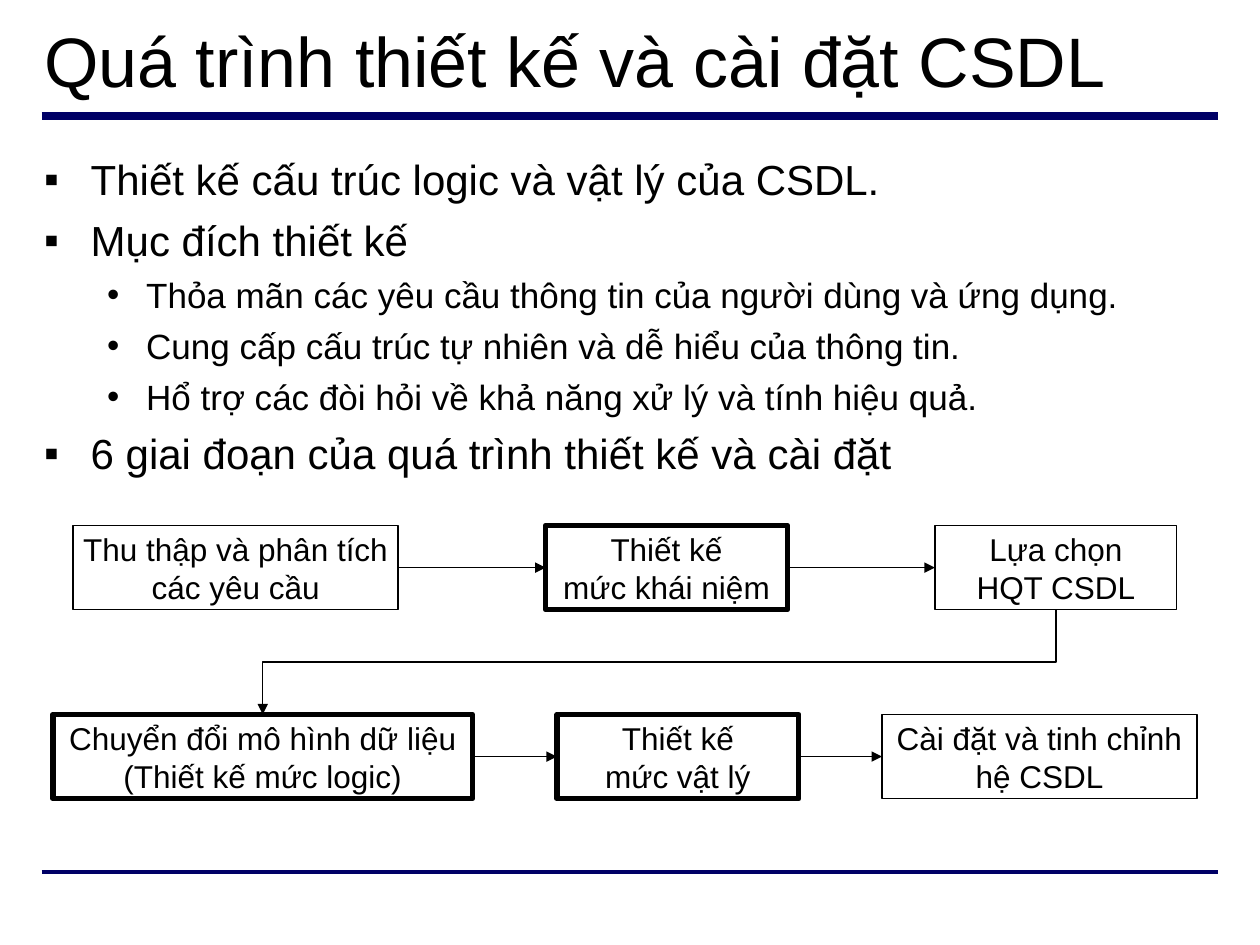
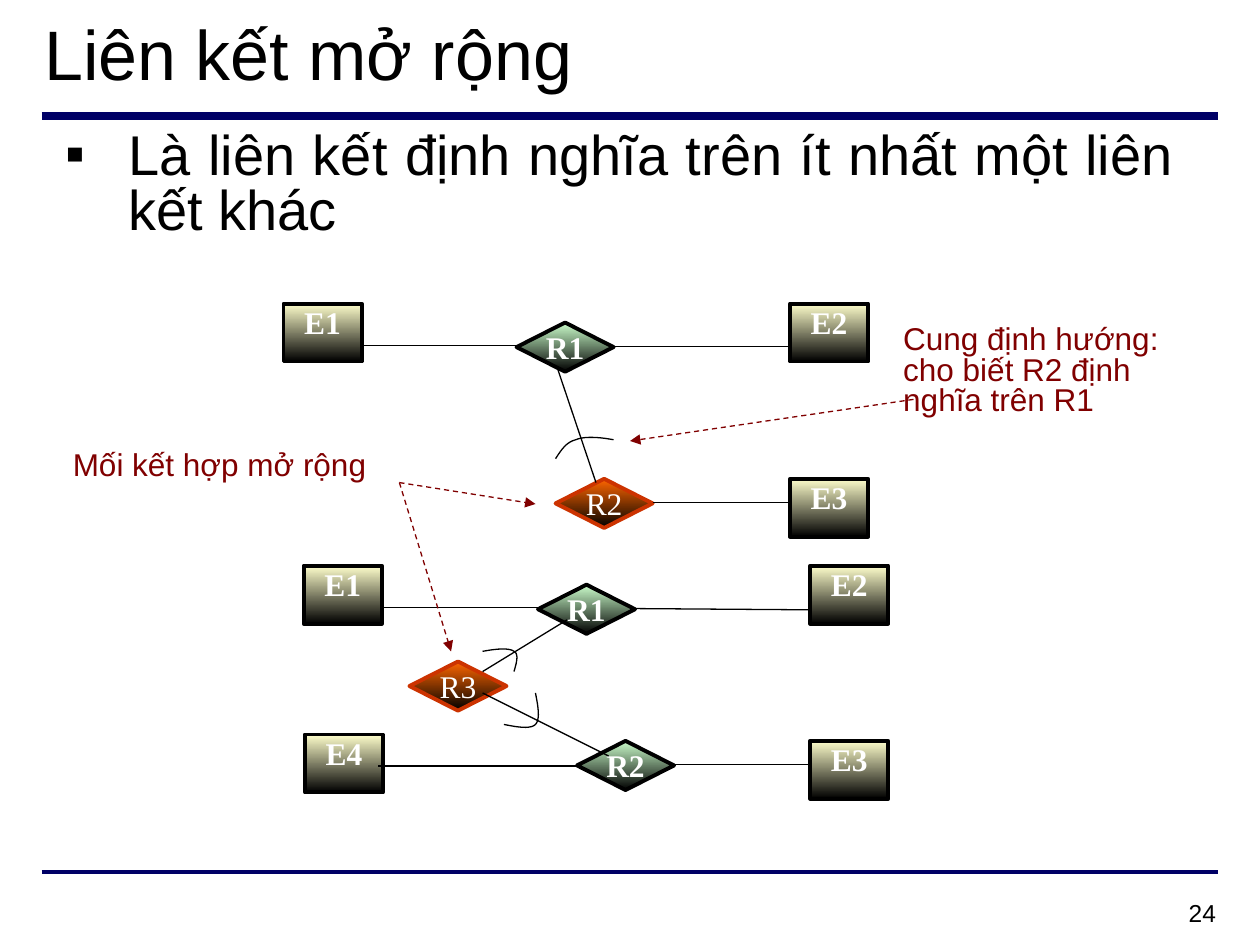
import dataclasses

import lxml.etree
import pptx
import pptx.dml.color
import pptx.enum.dml
import pptx.enum.shapes
import pptx.enum.text
import pptx.oxml.ns
import pptx.util

Inches = pptx.util.Inches
Pt = pptx.util.Pt
RGB = pptx.dml.color.RGBColor.from_string
Align = pptx.enum.text.PP_ALIGN
Anchor = pptx.enum.text.MSO_ANCHOR
Preset = pptx.enum.shapes.MSO_SHAPE
Connector = pptx.enum.shapes.MSO_CONNECTOR
qn = pptx.oxml.ns.qn


@dataclasses.dataclass(frozen=True)
class Theme:
    sans: str = "Arial"
    serif: str = "Times New Roman"
    ink: str = "000000"
    light: str = "FFFFFF"
    band: str = "000066"
    note: str = "800000"
    entity: str = "FFFFCC"
    relation: str = "CCFFCC"
    extended: str = "FF6600"
    extended_edge: str = "CC3300"
    title_size: int = 40
    lead_size: int = 32
    list_size: int = 24
    sublist_size: int = 20
    label_size: int = 18
    number_size: int = 14
    thin: float = 0.75
    medium: float = 2.25
    thick: float = 3
    tight: float = 0.81


@dataclasses.dataclass(frozen=True)
class Bullet:
    char: str
    margin: float
    hanging: float
    before: int
    size: int


THEME = Theme()
MAIN = Bullet("▪", 0.37, 0.37, 6, THEME.list_size)
SUB = Bullet("•", 0.81, 0.31, 5, THEME.sublist_size)
LEAD = Bullet("▪", 0.5, 0.5, 8, THEME.lead_size)


def lengths(*values):
    return [Inches(value) for value in values]


def curve_points(start, segments, steps=10):
    """Points along a chain of cubic curves, without the start point."""
    points = []
    for first, second, end in segments:
        for step in range(1, steps + 1):
            t = step / steps
            weights = ((1 - t) ** 3, 3 * t * (1 - t) ** 2, 3 * t * t * (1 - t), t ** 3)
            corners = (start, first, second, end)
            points.append(tuple(Inches(sum(w * c[axis] for w, c in zip(weights, corners)))
                                for axis in (0, 1)))
        start = end
    return points


class SlideBuilder:
    def __init__(self, deck, theme):
        self.deck = deck
        self.theme = theme
        self.page = None

    def start_page(self, title, spacing=1.0):
        """Add a slide with its bands and title."""
        self.page = self.deck.slides.add_slide(self.deck.slide_layouts[1])
        for y, width in ((0.92, 4.5), (6.92, self.theme.medium)):
            self.line((0.33, y), (9.67, y), self.theme.band, width)
        box = self.page.shapes.title
        self.place(box, (0.25, 0.09, 9.5, 0.77))
        self.set_text(box, title, self.theme.title_size, anchor=Anchor.MIDDLE, spacing=spacing)

    def place(self, box, at):
        box.left, box.top, box.width, box.height = lengths(*at)

    def set_text(self, box, text, size, color=None, font=None, bold=False,
                 align=Align.LEFT, anchor=Anchor.TOP, spacing=1.0, wrap=True,
                 inset=(0.1, 0.05)):
        frame = box.text_frame
        frame.text = text
        frame.auto_size = pptx.enum.text.MSO_AUTO_SIZE.NONE
        frame.word_wrap = wrap
        frame.vertical_anchor = anchor
        frame.margin_left = frame.margin_right = Inches(inset[0])
        frame.margin_top = frame.margin_bottom = Inches(inset[1])
        for para in frame.paragraphs:
            para.alignment = align
            para.line_spacing = spacing
            self.format_runs(para, size, color, font, bold)

    def format_runs(self, para, size, color=None, font=None, bold=False):
        for span in para.runs:
            span.font.size = Pt(size)
            span.font.name = font or self.theme.sans
            span.font.bold = bold
            span.font.color.rgb = RGB(color or self.theme.ink)

    def bullets(self, at, items, align=Align.LEFT, spacing=1.0):
        """Fill the body placeholder with (bullet style, text) items."""
        box = self.page.placeholders[1]
        self.place(box, at)
        self.set_text(box, "\n".join(text for _, text in items), self.theme.list_size,
                      align=align, spacing=spacing)
        for index, (para, (style, _)) in enumerate(zip(box.text_frame.paragraphs, items)):
            props = para._p.get_or_add_pPr()
            props.set("marL", str(Inches(style.margin)))
            props.set("indent", str(-Inches(style.hanging)))
            color = lxml.etree.SubElement(props, qn("a:buClr"))
            lxml.etree.SubElement(color, qn("a:srgbClr"), val=self.theme.ink)
            lxml.etree.SubElement(props, qn("a:buFont"), typeface=self.theme.sans)
            lxml.etree.SubElement(props, qn("a:buChar"), char=style.char)
            para.level = 1 if style is SUB else 0
            para.space_before = Pt(style.before if index else 0)
            self.format_runs(para, style.size)

    def label(self, at, text, size, **style):
        box = self.page.shapes.add_textbox(*lengths(*at))
        self.set_text(box, text, size, **style)

    def shape(self, preset, at, edge, width):
        box = self.page.shapes.add_shape(preset, *lengths(*at))
        box.shadow.inherit = False
        box.line.color.rgb = RGB(edge)
        box.line.width = Pt(width)
        return box

    def stage(self, at, text, width):
        box = self.shape(Preset.RECTANGLE, at, self.theme.ink, width)
        box.fill.background()
        self.set_text(box, text, self.theme.label_size, align=Align.CENTER,
                      anchor=Anchor.MIDDLE, wrap=False)

    def node(self, preset, at, text, top_color, edge, bold, inset):
        """Draw a diagram node that fades from top_color to black."""
        box = self.shape(preset, at, edge, self.theme.medium)
        box.fill.gradient()
        box.fill.gradient_angle = 270
        for stop, color in zip(box.fill.gradient_stops, (top_color, self.theme.ink)):
            stop.color.rgb = RGB(color)
        self.set_text(box, text, self.theme.label_size, self.theme.light, self.theme.serif,
                      bold, align=Align.CENTER, spacing=self.theme.tight, inset=inset)

    def entity(self, left, top, text):
        self.node(Preset.RECTANGLE, (left, top, 0.62, 0.46), text, self.theme.entity,
                  self.theme.ink, True, (0.1, 0.05))

    def relation(self, left, top, text, extended=False):
        theme = self.theme
        top_color, edge = ((theme.extended, theme.extended_edge) if extended
                           else (theme.relation, theme.ink))
        self.node(Preset.DIAMOND, (left, top, 0.77, 0.39), text, top_color, edge,
                  not extended, (0, 0))

    def line(self, start, end, color=None, width=None, arrow=False, dashed=False,
             kind=Connector.STRAIGHT):
        link = self.page.shapes.add_connector(kind, *lengths(*start, *end))
        link.line.color.rgb = RGB(color or self.theme.ink)
        link.line.width = Pt(width or self.theme.thin)
        if dashed:
            link.line.dash_style = pptx.enum.dml.MSO_LINE.DASH
        props = link.element.spPr
        if arrow:
            lxml.etree.SubElement(props.find(qn("a:ln")), qn("a:tailEnd"), type="triangle")
        lxml.etree.SubElement(props, qn("a:effectLst"))
        return link

    def down_elbow(self, start, end):
        """Arrow that leaves downwards, runs left and arrives downwards."""
        middle_x, middle_y = (start[0] + end[0]) / 2, (start[1] + end[1]) / 2
        half_run, half_drop = (start[0] - end[0]) / 2, (end[1] - start[1]) / 2
        link = self.line((middle_x - half_drop, middle_y - half_run),
                         (middle_x + half_drop, middle_y + half_run),
                         arrow=True, kind=Connector.ELBOW)
        link.element.spPr.find(qn("a:xfrm")).set("rot", str(90 * 60000))

    def arc(self, start, *segments):
        builder = self.page.shapes.build_freeform(*lengths(*start))
        builder.add_line_segments(curve_points(start, segments), close=False)
        outline = builder.convert_to_shape()
        outline.shadow.inherit = False
        outline.fill.background()
        outline.line.color.rgb = RGB(self.theme.ink)
        outline.line.width = Pt(self.theme.thin)


def build_process_page(slide):
    slide.start_page("Quá trình thiết kế và cài đặt CSDL")
    slide.bullets((0.25, 1.17, 9.5, 5.54), [
        (MAIN, "Thiết kế cấu trúc logic và vật lý của CSDL."),
        (MAIN, "Mục đích thiết kế"),
        (SUB, "Thỏa mãn các yêu cầu thông tin của người dùng và ứng dụng."),
        (SUB, "Cung cấp cấu trúc tự nhiên và dễ hiểu của thông tin."),
        (SUB, "Hổ trợ các đòi hỏi về khả năng xử lý và tính hiệu quả."),
        (MAIN, "6 giai đoạn của quá trình thiết kế và cài đặt"),
    ])
    thin, thick = slide.theme.thin, slide.theme.thick
    height = 0.67
    rows = [
        (4.17, [(0.58, 2.58, "Thu thập và phân tích\ncác yêu cầu", thin),
                (4.33, 1.92, "Thiết kế\nmức khái niệm", thick),
                (7.42, 1.92, "Lựa chọn\nHQT CSDL", thin)]),
        (5.67, [(0.42, 3.33, "Chuyển đổi mô hình dữ liệu\n(Thiết kế mức logic)", thick),
                (4.42, 1.92, "Thiết kế\nmức vật lý", thick),
                (7, 2.5, "Cài đặt và tinh chỉnh\nhệ CSDL", thin)]),
    ]
    for top, stages in rows:
        for left, width, text, edge in stages:
            slide.stage((left, top, width, height), text, edge)
        middle = top + height / 2
        for (left, width, *_), (next_left, *_) in zip(stages, stages[1:]):
            slide.line((left + width, middle), (next_left, middle), arrow=True)
    (first_top, first_row), (second_top, second_row) = rows
    last, following = first_row[-1], second_row[0]
    slide.down_elbow((last[0] + last[1] / 2, first_top + height),
                     (following[0] + following[1] / 2, second_top))


def build_relationship_page(slide):
    theme = slide.theme
    slide.start_page("Liên kết mở rộng", theme.tight)
    slide.bullets((0.42, 1, 9, 1.25),
                  [(LEAD, "Là liên kết định nghĩa trên ít nhất một liên kết khác")],
                  Align.JUSTIFY, theme.tight)
    slide.label((7.42, 7.08, 2.33, 0.34), "24", theme.number_size, align=Align.RIGHT)

    for entity in ((2.25, 2.41, "E1"), (6.27, 2.41, "E2"), (6.27, 3.8, "E3"),
                   (2.41, 4.49, "E1"), (6.43, 4.49, "E2"), (6.43, 5.88, "E3"),
                   (2.42, 5.83, "E4")):
        slide.entity(*entity)
    for relation in ((4.1, 2.56, "R1"), (4.41, 3.8, "R2", True), (4.27, 4.64, "R1"),
                     (4.58, 5.88, "R2"), (3.25, 5.25, "R3", True)):
        slide.relation(*relation)
    for start, end in (((2.87, 2.74), (4.1, 2.74)), ((4.87, 2.75), (6.27, 2.75)),
                       ((4.42, 2.91), (4.73, 3.83)), ((5.18, 3.99), (6.27, 3.99)),
                       ((3.03, 4.82), (4.27, 4.82)), ((5.04, 4.83), (6.43, 4.84)),
                       ((5.35, 6.07), (6.43, 6.07)), ((3, 6.08), (4.58, 6.08)),
                       ((4.5, 4.92), (3.83, 5.33)), ((3.83, 5.5), (4.83, 6))):
        slide.line(start, end)

    slide.arc((4.41, 3.64), ((4.45, 3.58), (4.49, 3.51), (4.57, 3.49)),
              ((4.64, 3.46), (4.76, 3.47), (4.87, 3.49)))
    slide.arc((3.83, 5.17), ((3.94, 5.15), (4.04, 5.14), (4.08, 5.17)),
              ((4.12, 5.19), (4.1, 5.26), (4.08, 5.33)))
    slide.arc((4.25, 5.5), ((4.27, 5.6), (4.29, 5.71), (4.25, 5.75)),
              ((4.21, 5.79), (4.1, 5.77), (4, 5.75)))

    slide.label((0.48, 3.54, 2.53, 0.35), "Mối kết hợp mở rộng", theme.label_size,
                color=theme.note, spacing=theme.tight, wrap=False)
    slide.label((7.07, 2.54, 2.68, 0.83), "Cung định hướng: cho biết R2 định nghĩa trên R1",
                theme.label_size, color=theme.note, spacing=theme.tight)
    for start, end in (((3.17, 3.83), (4.25, 4)), ((3.17, 3.83), (3.58, 5.17)),
                       ((7.25, 3.17), (5, 3.5))):
        slide.line(start, end, theme.note, arrow=True, dashed=True)


def main():
    deck = pptx.Presentation()
    deck.slide_width, deck.slide_height = lengths(10, 7.5)
    slide = SlideBuilder(deck, THEME)
    build_process_page(slide)
    build_relationship_page(slide)
    deck.save("out.pptx")


if __name__ == "__main__":
    main()
